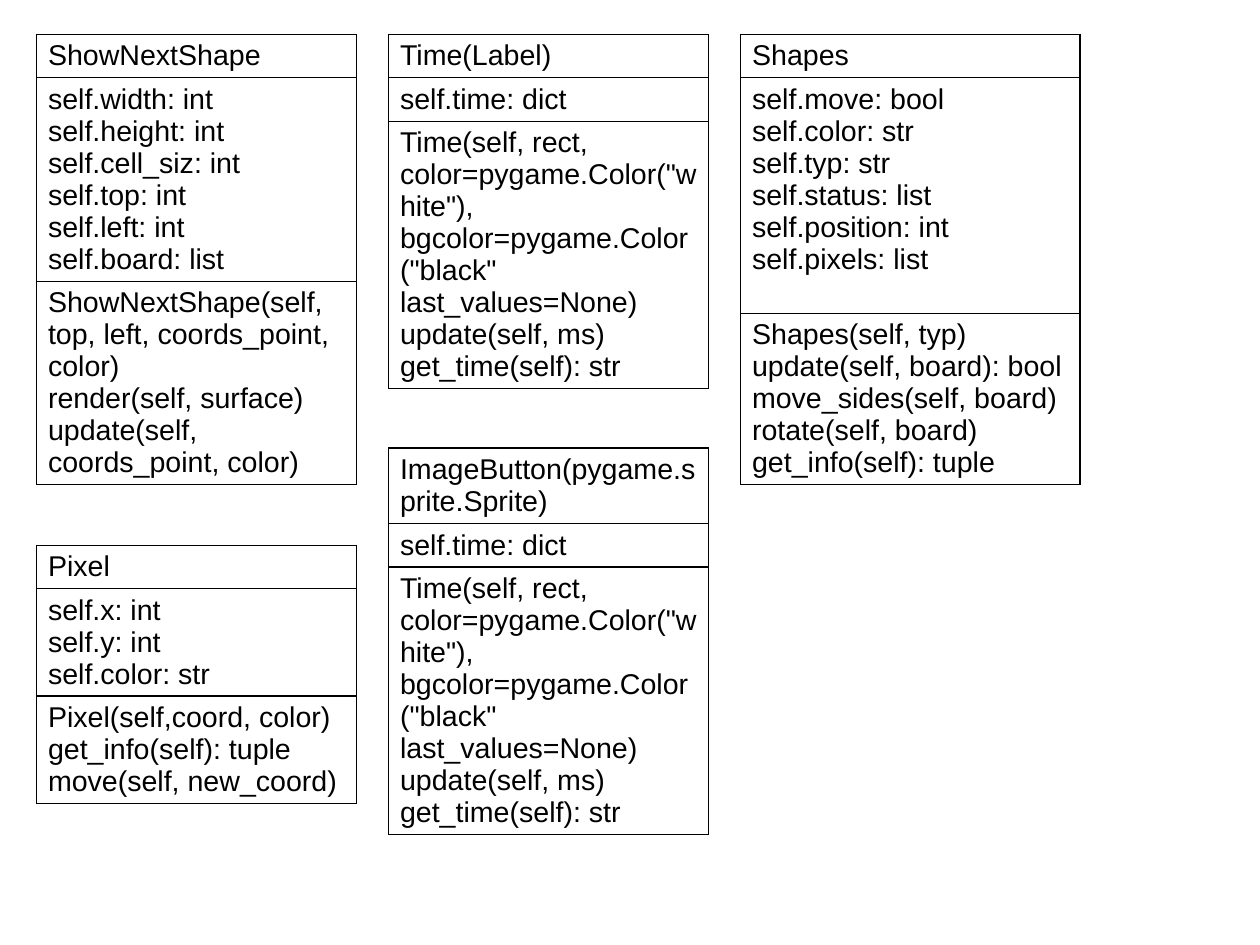
from lxml import etree
from pptx import Presentation
from pptx import util as u
from pptx.dml.color import RGBColor
from pptx.oxml.ns import qn

LINE, PAD = 0.28, 0.1  # height of one text line, vertical cell padding
CM = 1 / 2.54  # one centimetre in inches


def rgb(value):
    return RGBColor.from_string(value)


class Deck:
    ink = "000000"
    border = u.Pt(0.96)
    font = {"name": "Arial", "size": u.Pt(18), "bold": False}

    def __init__(self, width, height):
        self.prs = Presentation()
        self.prs.slide_width, self.prs.slide_height = u.Inches(width), u.Inches(height)
        self.s = self.prs.slides.add_slide(self.prs.slide_layouts[6])

    def borders(self, cell):
        tc_pr = cell._tc.get_or_add_tcPr()
        for i, side in enumerate(("lnL", "lnR", "lnT", "lnB")):
            ln = etree.Element(qn("a:" + side), w=str(int(self.border)))
            fill = etree.SubElement(ln, qn("a:solidFill"))
            etree.SubElement(fill, qn("a:srgbClr"), val=self.ink)
            tc_pr.insert(i, ln)

    def cell(self, cell, content):
        cell.fill.background()
        self.borders(cell)
        tf = cell.text_frame
        tf.text = content
        for p in tf.paragraphs:
            for r in p.runs:
                for key, value in self.font.items():
                    setattr(r.font, key, value)
                r.font.color.rgb = rgb(self.ink)

    def class_box(self, left, top, width, parts, lines):
        """A class: name, attributes and methods, each row sized by its text lines."""
        heights = [PAD + LINE * n for n in lines]
        frame = self.s.shapes.add_table(len(parts), 1, u.Inches(left), u.Inches(top),
                                        u.Inches(width), u.Inches(sum(heights)))
        table = frame.table
        table.first_row = table.horz_banding = False
        for row, height, content in zip(table.rows, heights, parts):
            row.height = u.Inches(height)
            self.cell(row.cells[0], content)


# Columns and shared text
COL_1, COL_2, COL_3 = 0.32, 3.4, 6.48
TOP, WIDTH = 0.3, 2.8
TIME_ATTRIBUTES = "self.time: dict"
TIME_METHODS = ('Time(self, rect, color=pygame.Color("white"), '
                'bgcolor=pygame.Color("black" last_values=None)\n'
                "update(self, ms)\nget_time(self): str")

# left, top, width, (name, attributes, methods), text lines per row
CLASSES = [
    (COL_1, TOP, WIDTH, (
        "ShowNextShape",
        "self.width: int\nself.height: int\nself.cell_siz: int self.top: int\n"
        "self.left: int\nself.board: list",
        "ShowNextShape(self, top, left, coords_point, color)\n"
        "render(self, surface)\nupdate(self, coords_point, color)"), (1, 6, 6)),
    (COL_2, TOP, WIDTH, ("Time(Label)", TIME_ATTRIBUTES, TIME_METHODS), (1, 1, 8)),
    (COL_1, 4.77, WIDTH, (
        "Pixel",
        "self.x: int\nself.y: int\nself.color: str",
        "Pixel(self,coord, color)\nget_info(self): tuple\nmove(self, new_coord)"),
     (1, 3, 3)),
    (COL_3, TOP, 2.97, (
        "Shapes",
        "self.move: bool\nself.color: str\nself.typ: str\nself.status: list\n"
        "self.position: int\nself.pixels: list",
        "Shapes(self, typ)\nupdate(self, board): bool\nmove_sides(self, board)\n"
        "rotate(self, board)\nget_info(self): tuple"), (1, 7, 5)),
    (COL_2, 3.92, WIDTH, (
        "ImageButton(pygame.sprite.Sprite)", TIME_ATTRIBUTES, TIME_METHODS), (2, 1, 8)),
]

# Class diagram
deck = Deck(28 * CM, 21 * CM)
for box in CLASSES:
    deck.class_box(*box)
deck.prs.save("out.pptx")
